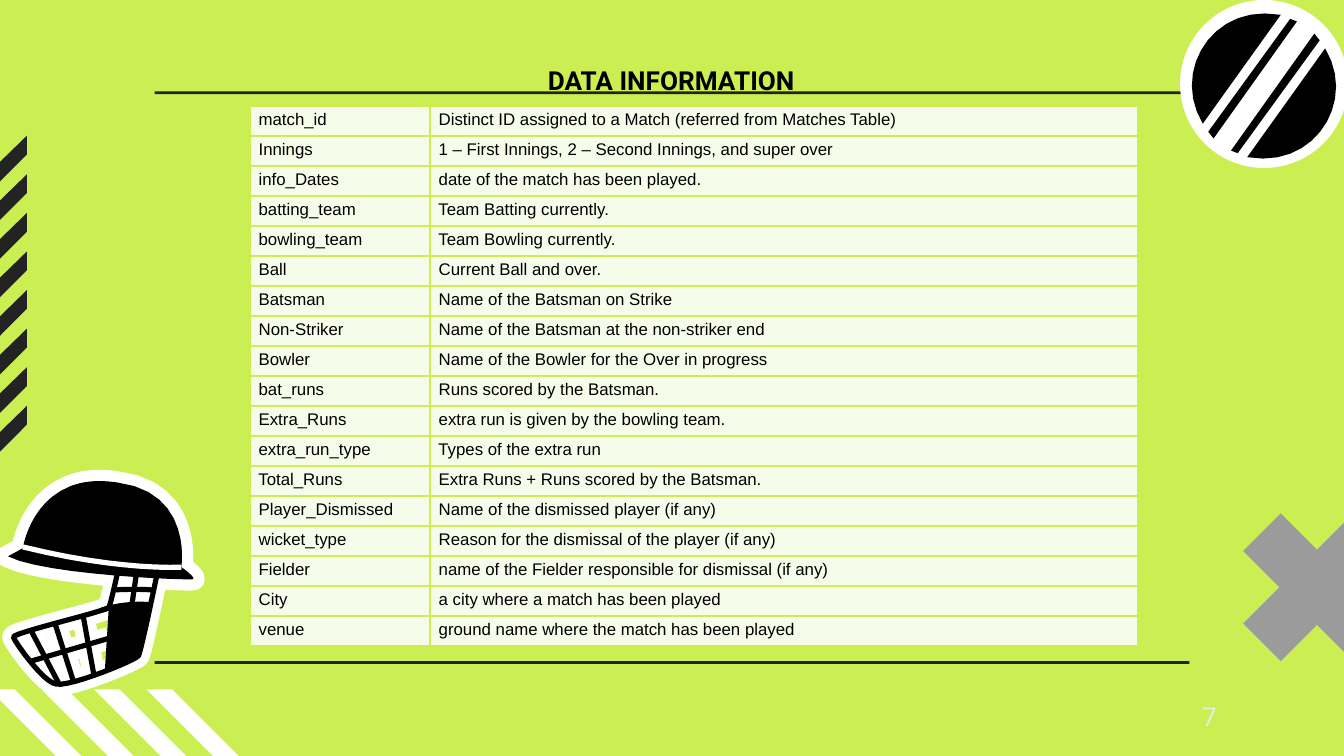
import pptx
import pptx.dml.color
import pptx.enum.shapes
import pptx.enum.text
import pptx.oxml.ns
import pptx.util
from lxml import etree

Inches = pptx.util.Inches
Pt = pptx.util.Pt
Shape = pptx.enum.shapes.MSO_SHAPE
qn = pptx.oxml.ns.qn

COLORS = {
    "lime": "CBEF53", "dark": "232323", "white": "FFFFFF", "black": "000000",
    "gray": "9B9B9B", "cell": "F6FCE9", "pale": "E9E9E9",
}

ROWS = [
    ("match_id", "Distinct ID assigned to a Match (referred from Matches Table)"),
    ("Innings", "1 – First Innings, 2 – Second Innings, and super over"),
    ("info_Dates", "date of the match has been played."),
    ("batting_team", "Team Batting currently."),
    ("bowling_team", "Team Bowling currently."),
    ("Ball", "Current Ball and over."),
    ("Batsman", "Name of the Batsman on Strike"),
    ("Non-Striker", "Name of the Batsman at the non-striker end"),
    ("Bowler", "Name of the Bowler for the Over in progress"),
    ("bat_runs", "Runs scored by the Batsman."),
    ("Extra_Runs", "extra run is given by the bowling team."),
    ("extra_run_type", "Types of the extra run"),
    ("Total_Runs", "Extra Runs + Runs scored by the Batsman."),
    ("Player_Dismissed", "Name of the dismissed player (if any)"),
    ("wicket_type", "Reason for the dismissal of the player (if any)"),
    ("Fielder", "name of the Fielder responsible for dismissal (if any)"),
    ("City", "a city where a match has been played"),
    ("venue", "ground name where the match has been played"),
]

# Helmet outlines: a start point, then steps of one point (line) or three (curve)
STRAP = [(0.87, 0.56), [(0.84, 0.57), (0.85, 0.63), (0.89, 0.64)],
         [(0.93, 0.66), (1.16, 0.67), (1.23, 0.66)],
         [(1.28, 0.64), (1.27, 0.57), (1.21, 0.57)],
         [(1.18, 0.57), (0.94, 0.56), (0.89, 0.55)]]
GUARD = [(1.19, 0.67), [(1.19, 0.67), (1.05, 1.35), (1.03, 1.38)],
         [(1.01, 1.41), (0.53, 1.61), (0.42, 1.59)],
         [(0.32, 1.58), (0.1, 1.26), (0.1, 1.24)],
         [(0.09, 1.21), (0.78, 1.05), (0.81, 1.02)],
         [(0.83, 0.98), (0.9, 0.64), (0.9, 0.64)]]
CHEEK = [(0.81, 1.02), [(0.78, 1.5)], [(0.78, 1.5), (1.01, 1.4), (1.03, 1.38)],
         [(1.04, 1.36), (1.12, 1), (1.12, 1)],
         [(1.02, 0.99), (0.91, 1), (0.81, 1.02)]]
BARS = [
    [(0.84, 0.89), [(0.84, 0.89), (1.01, 0.88), (1.13, 0.89)]],
    [(0.81, 1.25), [(0.23, 1.42)]],
    [(0.62, 1.09), [(0.7, 1.53)]],
    [(0.41, 1.14), [(0.55, 1.58)]],
    [(0.23, 1.19), [(0.44, 1.59)]],
    [(1.03, 0.67), [(0.98, 1.01)]],
]
BROW = [(1.12, 1), [(1.12, 1), (0.94, 0.98), (0.76, 1.04)]]
SHELL = [(0.52, 0.12), [(0.22, 0.24), (0.17, 0.58), (0.17, 0.58)], [(0.06, 0.64)],
         [(0.33, 0.78), (1.41, 0.82), (1.44, 0.81)],
         [(1.45, 0.79), (1.35, 0.72), (1.35, 0.72)],
         [(1.35, 0.72), (1.44, 0.16), (0.87, 0.09)],
         [(0.73, 0.07), (0.62, 0.08), (0.52, 0.12)]]
RIM = [(1.35, 0.72), [(1.35, 0.72), (0.9, 0.75), (0.17, 0.57)]]


def rgb(name):
    return pptx.dml.color.RGBColor.from_string(COLORS[name])


def paint(shape, fill=None, line=None, width=0):
    shape.shadow.inherit = False
    if fill:
        shape.fill.solid()
        shape.fill.fore_color.rgb = rgb(fill)
    else:
        shape.fill.background()
    if line:
        shape.line.color.rgb = rgb(line)
        shape.line.width = Pt(width)
    else:
        shape.line.fill.background()


def trace(route, count=12):
    """Turn a start point and its steps into a list of points."""
    points = [route[0]]
    for step in route[1:]:
        if len(step) == 1:
            points += step
            continue
        ends = [points[-1], *step]
        for i in range(1, count + 1):
            t = i / count
            parts = ((1 - t) ** 3, 3 * t * (1 - t) ** 2, 3 * t * t * (1 - t), t ** 3)
            points.append(tuple(sum(w * p[k] for w, p in zip(parts, ends)) for k in (0, 1)))
    return points


def draw(slide, x, y, points, fill=None, line=None, width=0):
    spots = [(Inches(x + px), Inches(y + py)) for px, py in points]
    pen = slide.shapes.build_freeform(*spots[0], scale=1.0)
    pen.add_line_segments(spots[1:], close=fill is not None)
    paint(pen.convert_to_shape(), fill, line, width)


def add_rules(slide, x, y, w, h):
    for top in (y, y + h):
        bar = slide.shapes.add_shape(Shape.RECTANGLE, Inches(x), Inches(top), Inches(w), Inches(0.02))
        paint(bar, "dark")


def add_floor(slide, x, y):
    for i in range(4):
        draw(slide, x + 0.39 * i, y, [(0.19, 0), (0.73, 0.54), (0.54, 0.54), (0, 0)], "white")


def add_side(slide, x, y, h):
    for i in range(8):
        draw(slide, x, y + h * i / 7, [(0.4, 0), (0.4, 0.14), (0, 0.54), (0, 0.39)], "dark")


def add_cross(slide, x, y, size):
    arm = 0.28
    band = [(arm, 0), (size, size - arm), (size - arm, size), (0, arm)]
    draw(slide, x, y, band, "gray")
    draw(slide, x, y, [(size - px, py) for px, py in band], "gray")


def add_helmet(slide, x, y):
    # White halo first, then the black helmet over it
    for color, width in (("white", 12), ("black", 2.78)):
        draw(slide, x, y, trace(STRAP), color)
        draw(slide, x, y, trace(GUARD), None, color, width)
        draw(slide, x, y, trace(BROW), None, color, 2.78)
        draw(slide, x, y, trace(CHEEK), color)
        for bar in BARS:
            draw(slide, x, y, trace(bar), None, color, width)
        edge = color if color == "white" else None
        draw(slide, x, y, trace(SHELL), color, edge, width)
        draw(slide, x, y, trace(RIM), None, "white", 2.78)


def add_ball(slide, x, y, size):
    disc = slide.shapes.add_shape(Shape.OVAL, Inches(x), Inches(y), Inches(size), Inches(size))
    paint(disc, "white")
    half = trace([(0.63, 0.1), [(0.2, 0.1), (-0.05, 0.56), (0.17, 0.92)], [(0.75, 0.11)]])
    seam = [(1, 0.25), (0.38, 1.12), (0.43, 1.14), (1.04, 0.3)]
    for part in (half, seam):
        draw(slide, x, y, part, "black")
        draw(slide, x, y, [(size - px, 1.28 - py) for px, py in part], "black")


def add_text(slide, x, y, w, h, text, color, bold=False):
    frame = slide.shapes.add_textbox(Inches(x), Inches(y), Inches(w), Inches(h)).text_frame
    frame.word_wrap = True
    frame.vertical_anchor = pptx.enum.text.MSO_ANCHOR.MIDDLE
    frame.margin_left = frame.margin_right = Inches(0.1)
    frame.margin_top = frame.margin_bottom = Inches(0.1)
    para = frame.paragraphs[0]
    para.text = text
    para.alignment = pptx.enum.text.PP_ALIGN.CENTER
    para.font.name, para.font.size, para.font.bold = "Roboto", Pt(14), bold
    para.font.color.rgb = rgb(color)
    return para


def fill_cell(cell, text):
    props = cell._tc.get_or_add_tcPr()
    for side in ("a:lnL", "a:lnR", "a:lnT", "a:lnB"):
        edge = etree.SubElement(props, qn(side), w=str(Pt(1)))
        solid = etree.SubElement(edge, qn("a:solidFill"))
        etree.SubElement(solid, qn("a:srgbClr"), val=COLORS["lime"])
    cell.fill.solid()
    cell.fill.fore_color.rgb = rgb("cell")
    cell.margin_left = cell.margin_right = Inches(0.03)
    cell.margin_top = cell.margin_bottom = Inches(0.03)
    para = cell.text_frame.paragraphs[0]
    para.text = " " + text
    para.font.name, para.font.size = "Arial", Pt(9)
    para.font.color.rgb = rgb("black")


def add_grid(slide, x, y, w, h):
    box = [Inches(v) for v in (x, y, w, h)]
    table = slide.shapes.add_table(len(ROWS), 2, *box).table
    table.first_row = table.horz_banding = False
    table.columns[0].width = Inches(1.34)
    table.columns[1].width = Inches(w - 1.34)
    for r, row in enumerate(ROWS):
        table.rows[r].height = Inches(h / len(ROWS))
        for c, text in enumerate(row):
            fill_cell(table.cell(r, c), text)


def main():
    deck = pptx.Presentation()
    deck.slide_width, deck.slide_height = Inches(10), Inches(10 * 9 / 16)
    slide = deck.slides.add_slide(deck.slide_layouts[6])
    slide.background.fill.solid()
    slide.background.fill.fore_color.rgb = rgb("lime")

    # Backdrop
    add_rules(slide, 1.15, 0.68, 7.7, 4.24)
    add_floor(slide, -0.08, 5.13)
    add_cross(slide, 9.25, 3.82, 1.1)
    add_side(slide, -0.2, 1.01, 2.01)

    # Title, art and table
    add_text(slide, 1.46, 0.45, 7.07, 0.29, "DATA INFORMATION", "black", True)
    add_helmet(slide, 0, 3.5)
    add_ball(slide, 8.78, 0, 1.25)
    add_grid(slide, 1.86, 0.79, 6.61, 4.02)

    # Page number with a hanging indent
    page = add_text(slide, 8.78, 5.18, 0.24, 0.3, "7", "pale")
    props = page._p.get_or_add_pPr()
    props.set("marL", str(Inches(0.5)))
    props.set("indent", str(Inches(-0.38)))

    deck.save("out.pptx")


if __name__ == "__main__":
    main()
